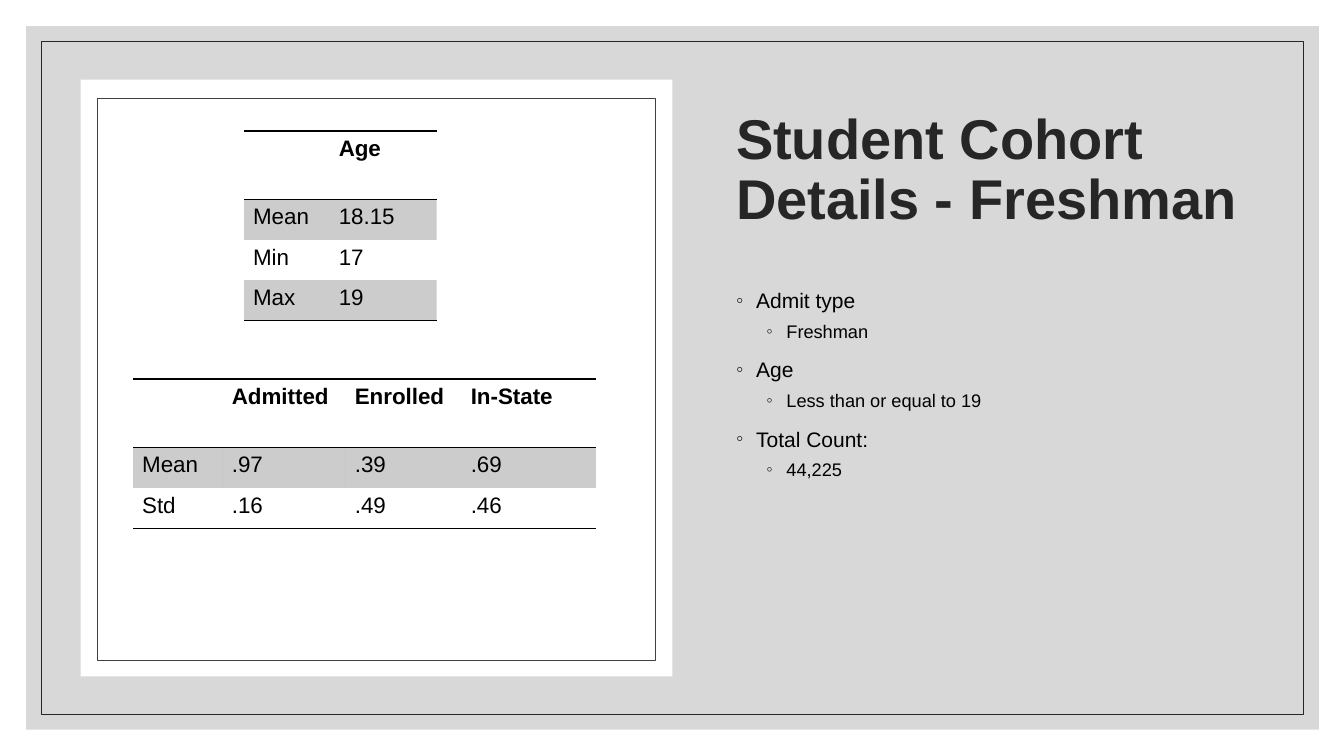
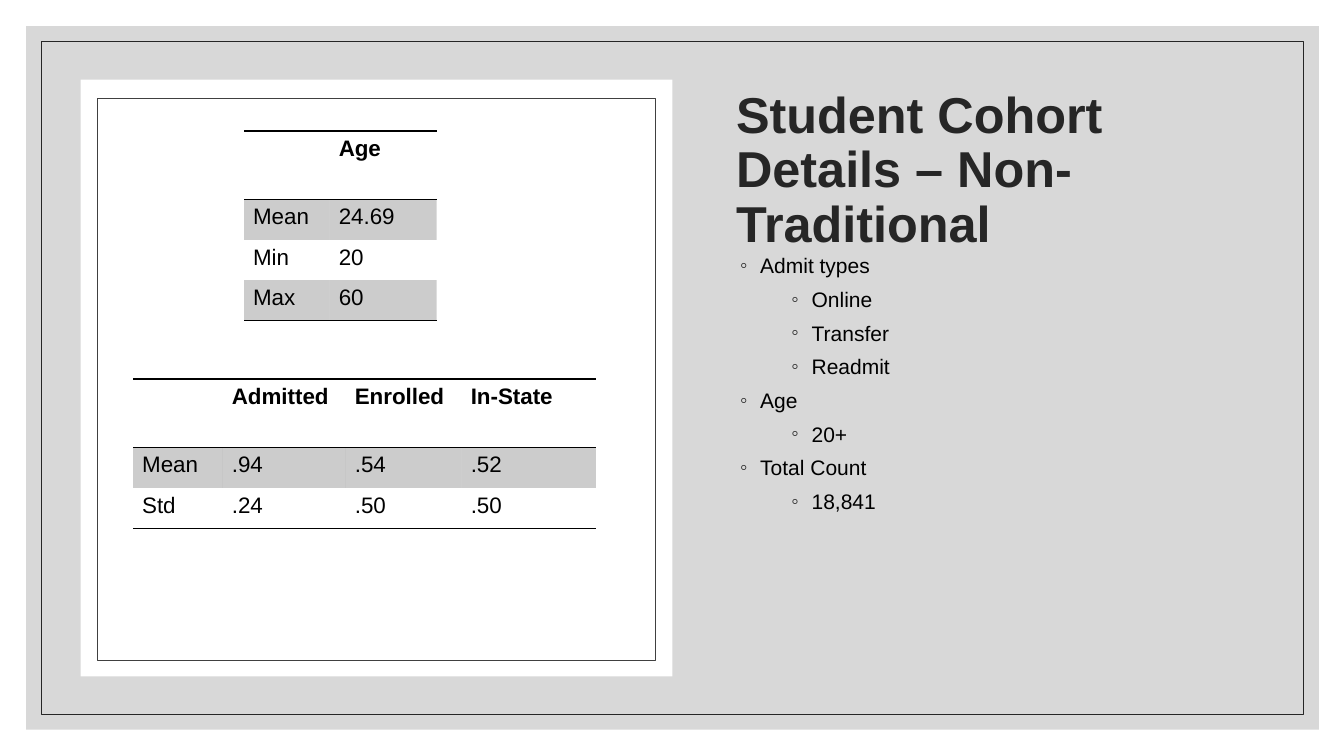
import dataclasses

import lxml.etree
import pptx
import pptx.dml.color
import pptx.enum.shapes
import pptx.enum.text
import pptx.oxml.ns
import pptx.util

Inches = pptx.util.Inches
Pt = pptx.util.Pt
qn = pptx.oxml.ns.qn
Color = pptx.dml.color.RGBColor.from_string


@dataclasses.dataclass(frozen=True)
class Theme:
    font: str = "Arial"
    white: str = "FFFFFF"
    black: str = "000000"
    dark: str = "262626"
    panel_line: str = "404040"
    backdrop: str = "BFBFBF"
    table_size: int = 16
    rule_width: float = 1
    frame_width: float = 0.5


theme = Theme()


def add_rectangle(slide, bounds, fill=None, line=None):
    box = slide.shapes.add_shape(
        pptx.enum.shapes.MSO_SHAPE.RECTANGLE, *(Inches(length) for length in bounds))
    box.shadow.inherit = False
    if fill:
        box.fill.solid()
        box.fill.fore_color.rgb = Color(fill)
    else:
        box.fill.background()
    if line:
        box.line.color.rgb = Color(line)
        box.line.width = Pt(theme.frame_width)
    else:
        box.line.fill.background()
    return box


def set_opacity(element, percent):
    """Make the first solid colour in the element partly transparent."""
    color = element.find(f".//{qn('a:solidFill')}/{qn('a:srgbClr')}")
    lxml.etree.SubElement(color, qn("a:alpha")).set("val", str(percent * 1000))


# Each list style gives, by level: type size, indent, space before, line spacing.
cohorts = [
    {
        "title": "Student Cohort Details - Freshman",
        "title_size": 40,
        "list_bounds": (7.2, 2.78, 5.42, 3.82),
        "list_style": [(15, 0.2, 9, 1.1), (13, 0.5, 5, 1.0)],
        "list": [(0, "Admit type"), (1, "Freshman"),
                 (0, "Age"), (1, "Less than or equal to 19"),
                 (0, "Total Count:"), (1, "44,225")],
        "ages": ["18.15", "17", "19"],
        "means": [".97", ".39", ".69"],
        "deviations": [".16", ".49", ".46"],
    },
    {
        "title": "Student Cohort Details – Non-Traditional",
        "title_size": 36,
        "list_bounds": (7.02, 2.46, 2.46, 2.71),
        "list_style": [(15, 0.42, 6, 1.0), (15, 0.93, 6, 1.0)],
        "list": [(0, "Admit types"), (1, "Online"), (1, "Transfer"), (1, "Readmit"),
                 (0, "Age"), (1, "20+"),
                 (0, "Total Count"), (1, "18,841")],
        "ages": ["24.69", "20", "60"],
        "means": [".94", ".54", ".52"],
        "deviations": [".24", ".50", ".50"],
    },
]

deck = pptx.Presentation()
deck.slide_width = Inches(13.33)
deck.slide_height = Inches(7.5)
layout = deck.slide_layouts[1]
layout_title = layout.placeholders[0]
layout_title.left, layout_title.top = Inches(7.2), Inches(0.8)
layout_title.width, layout_title.height = Inches(5.42), Inches(1.8)
slides = [deck.slides.add_slide(layout) for _ in cohorts]

# The backdrop and its frame move to the layout, behind its placeholders.
backdrop = add_rectangle(slides[0], (0.26, 0.26, 12.82, 6.98), fill=theme.backdrop)
set_opacity(backdrop.element, 60)
frame = add_rectangle(slides[0], (0.41, 0.41, 12.52, 6.68), line=theme.dark)
for order, box in enumerate((backdrop, frame)):
    box.element.nvSpPr.cNvPr.id = 20 + order
    layout.shapes.element.insert(2 + order, box.element)

for slide, cohort in zip(slides, cohorts):
    title = slide.shapes.title.text_frame
    title.auto_size = pptx.enum.text.MSO_AUTO_SIZE.NONE
    title.vertical_anchor = pptx.enum.text.MSO_ANCHOR.MIDDLE
    para = title.paragraphs[0]
    para.alignment = pptx.enum.text.PP_ALIGN.LEFT
    para.line_spacing = 0.9
    span = para.add_run()
    span.text = cohort["title"]
    span.font.name = theme.font
    span.font.size = Pt(cohort["title_size"])
    span.font.bold = True
    span.font.color.rgb = Color(theme.dark)

    add_rectangle(slide, (0.8, 0.79, 5.87, 5.92), fill=theme.white)
    add_rectangle(slide, (0.97, 0.98, 5.53, 5.57), line=theme.panel_line)

    body = slide.placeholders[1]
    body.left, body.top, body.width, body.height = (
        Inches(length) for length in cohort["list_bounds"])
    body.text_frame.auto_size = pptx.enum.text.MSO_AUTO_SIZE.NONE
    for index, (level, text) in enumerate(cohort["list"]):
        size, indent, space_before, line_spacing = cohort["list_style"][level]
        para = body.text_frame.paragraphs[0] if index == 0 else body.text_frame.add_paragraph()
        para.level = level
        para.line_spacing = line_spacing
        para.space_before = Pt(space_before)
        properties = para._p.get_or_add_pPr()
        properties.set("marL", str(Inches(indent)))
        properties.set("indent", str(Inches(-0.2)))
        bullet_color = lxml.etree.SubElement(properties, qn("a:buClr"))
        lxml.etree.SubElement(bullet_color, qn("a:srgbClr")).set("val", theme.dark)
        lxml.etree.SubElement(properties, qn("a:buFont")).set("typeface", theme.font)
        lxml.etree.SubElement(properties, qn("a:buChar")).set("char", "◦")
        span = para.add_run()
        span.text = text
        span.font.name = theme.font
        span.font.size = Pt(size)
        span.font.color.rgb = Color(theme.black)

    age_rows = [["", "Age"], *zip(["Mean", "Min", "Max"], cohort["ages"])]
    rate_rows = [["", "Admitted", "Enrolled", "In-State"],
                 ["Mean", *cohort["means"]], ["Std", *cohort["deviations"]]]
    for left, top, widths, rows in (
            (2.42, 1.3, [0.85, 1.06], age_rows),
            (1.32, 3.76, [0.89, 1.22, 1.15, 1.33], rate_rows)):
        heights = [0.68] + [0.4] * (len(rows) - 1)
        table = slide.shapes.add_table(
            len(rows), len(widths), Inches(left), Inches(top),
            Inches(sum(widths)), Inches(sum(heights))).table
        table.horz_banding = False
        # The built-in style without fills or grid lines.
        table._tbl.tblPr.find(qn("a:tableStyleId")).text = (
            "{2D5ABB26-0587-4C30-8999-92F81FD0307C}")
        for column, width in zip(table.columns, widths):
            column.width = Inches(width)
        for row_index, (row, height) in enumerate(zip(rows, heights)):
            table.rows[row_index].height = Inches(height)
            edges = {0: ["a:lnT", "a:lnB"], len(rows) - 1: ["a:lnB"]}.get(row_index, [])
            for column_index, text in enumerate(row):
                cell = table.cell(row_index, column_index)
                cell.margin_left = cell.margin_right = Inches(0.09)
                cell.margin_top = cell.margin_bottom = Inches(0.05)
                if row_index % 2:
                    cell.fill.solid()
                    cell.fill.fore_color.rgb = Color(theme.black)
                    set_opacity(cell._tc, 20)
                else:
                    cell.fill.background()
                for position, edge in enumerate(edges):
                    rule = lxml.etree.Element(qn(edge), w=str(Pt(theme.rule_width)))
                    rule_fill = lxml.etree.SubElement(rule, qn("a:solidFill"))
                    lxml.etree.SubElement(rule_fill, qn("a:srgbClr")).set("val", theme.black)
                    cell._tc.get_or_add_tcPr().insert(position, rule)
                if text:
                    span = cell.text_frame.paragraphs[0].add_run()
                    span.text = text
                    span.font.name = theme.font
                    span.font.size = Pt(theme.table_size)
                    span.font.bold = row_index == 0
                    span.font.color.rgb = Color(theme.black)

deck.save("out.pptx")
